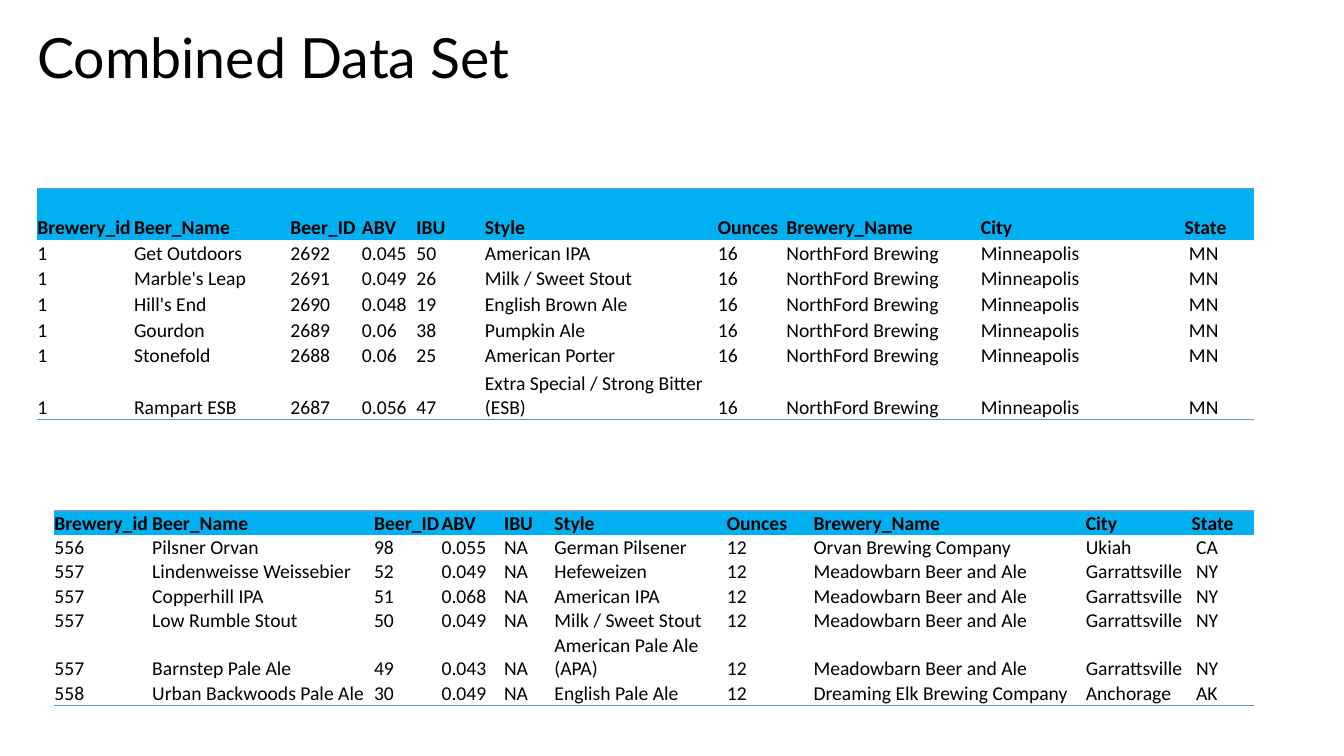
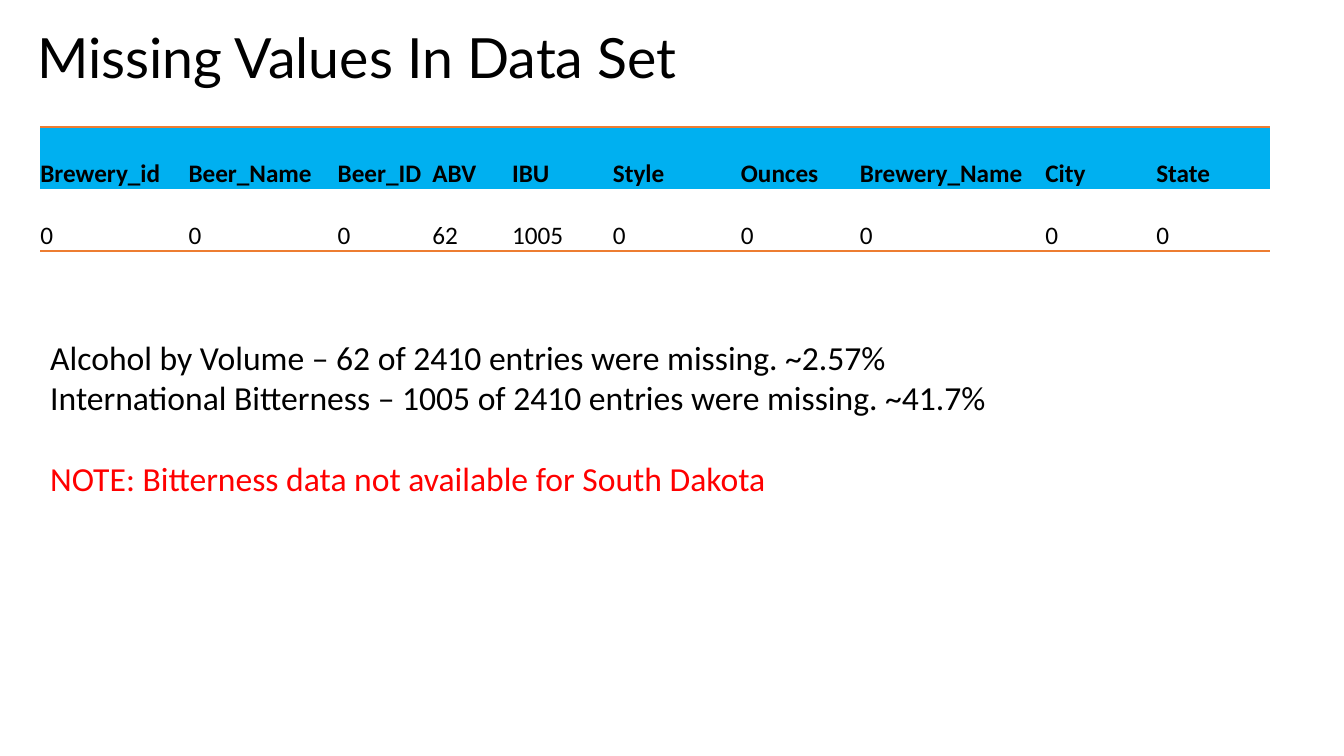
from lxml.etree import SubElement
from pptx import Presentation
from pptx.dml.color import RGBColor as RGB
from pptx.enum.text import MSO_ANCHOR as ANCHOR
from pptx.oxml.ns import qn
from pptx.util import Inches, Pt

COLORS = {"ink": "000000", "header": "00B0F0", "blue": "5B9BD5", "orange": "ED7D31", "note": "FF0000"}
PLAIN_TABLE = "{2D5ABB26-0587-4C30-8999-92F81FD0307C}"
FIELDS = ["Brewery_id", "Beer_Name", "Beer_ID", "ABV", "IBU", "Style",
          "Ounces", "Brewery_Name", "City", "State"]


def write(p, text, size=14, font="Calibri", color="ink", bold=False, before=0, spacing=None):
    """Put formatted text in a paragraph."""
    p.space_before = Pt(before)
    if spacing:
        p.line_spacing = spacing
    r = p.add_run()
    r.text = text
    r.font.size, r.font.name, r.font.bold = Pt(size), font, bold
    r.font.color.rgb = RGB.from_string(COLORS[color])


class Deck:
    """Hold the shared style and the current slide."""

    def __init__(self):
        """Start a widescreen presentation."""
        self.prs = Presentation()
        self.prs.slide_width, self.prs.slide_height = Inches(13.33), Inches(7.5)
        self.s = None

    def slide(self, title):
        """Add a slide with its title."""
        self.s = self.prs.slides.add_slide(self.prs.slide_layouts[6])
        self.text(0.27, 0.24, 11.5, 0.73, [(title, {"size": 39.6, "font": "Lato", "spacing": 0.9})],
                  ANCHOR.MIDDLE)

    def text(self, x, y, w, h, lines, anchor=ANCHOR.TOP):
        """Add a text box with one paragraph per line."""
        sp = self.s.shapes.add_textbox(Inches(x), Inches(y), Inches(w), Inches(h))
        tf = sp.text_frame
        tf.word_wrap, tf.vertical_anchor = True, anchor
        for i, (line, style) in enumerate(lines):
            write(tf.add_paragraph() if i else tf.paragraphs[0], line, **style)

    def rule(self, cell, side, color):
        """Draw a one-point border on one side of a cell."""
        ln = cell._tc.get_or_add_tcPr().makeelement(qn("a:" + side), {"w": str(Pt(1))})
        SubElement(SubElement(ln, qn("a:solidFill")), qn("a:srgbClr"), val=COLORS[color])
        cell._tc.tcPr.insert(0, ln)

    def table(self, x, y, height, widths, shares, records, size=14, line="blue"):
        """Add a table of records, its height split among the rows by share."""
        rows = [FIELDS] + records
        frame = self.s.shapes.add_table(len(rows), len(FIELDS), Inches(x), Inches(y),
                                        Inches(sum(widths)), Inches(height))
        table = frame.table
        table.horz_banding = False
        table._tbl.tblPr.find(qn("a:tableStyleId")).text = PLAIN_TABLE
        for column, width in zip(table.columns, widths):
            column.width = Inches(width)
        for i, (row, share) in enumerate(zip(rows, shares)):
            table.rows[i].height = Inches(height * share / sum(shares))
            for j, value in enumerate(row):
                cell = table.cell(i, j)
                cell.margin_left = cell.margin_right = cell.margin_top = cell.margin_bottom = 0
                cell.vertical_anchor = ANCHOR.BOTTOM
                write(cell.text_frame.paragraphs[0], value, size=size, bold=i == 0)
                if i == 0:
                    cell.fill.solid()
                    cell.fill.fore_color.rgb = RGB.from_string(COLORS["header"])
                    self.rule(cell, "lnT", line)
                else:
                    cell.fill.background()
                if i == len(rows) - 1:
                    self.rule(cell, "lnB", line)


first_beers = [
    ("Get Outdoors", "2692", "0.045", "50", "American IPA"),
    ("Marble's Leap", "2691", "0.049", "26", "Milk / Sweet Stout"),
    ("Hill's End", "2690", "0.048", "19", "English Brown Ale"),
    ("Gourdon", "2689", "0.06", "38", "Pumpkin Ale"),
    ("Stonefold", "2688", "0.06", "25", "American Porter"),
    ("Rampart ESB", "2687", "0.056", "47", "Extra Special / Strong Bitter (ESB)"),
]
MEADOW = ("Meadowbarn Beer and Ale", "Garrattsville", " NY")
last_beers = [
    ("556", "Pilsner Orvan", "98", "0.055", "German Pilsener", "Orvan Brewing Company", "Ukiah", " CA"),
    ("557", "Lindenweisse Weissebier", "52", "0.049", "Hefeweizen", *MEADOW),
    ("557", "Copperhill IPA", "51", "0.068", "American IPA", *MEADOW),
    ("557", "Low Rumble Stout", "50", "0.049", "Milk / Sweet Stout", *MEADOW),
    ("557", "Barnstep Pale Ale", "49", "0.043", "American Pale Ale (APA)", *MEADOW),
    ("558", "Urban Backwoods Pale Ale", "30", "0.049", "English Pale Ale",
     "Dreaming Elk Brewing Company", "Anchorage", " AK"),
]

deck = Deck()
deck.slide("Combined Data Set")
deck.table(0.37, 1.87, 2.29, [0.96, 1.55, 0.71, 0.54, 0.68, 2.31, 0.68, 1.93, 2.02, 0.69],
           [2] + [1] * 5 + [2],
           [["1", *beer, "16", "NorthFord Brewing", "Minneapolis", " MN"] for beer in first_beers])
deck.table(0.54, 5.07, 1.93, [0.97, 2.2, 0.67, 0.62, 0.5, 1.71, 0.86, 2.7, 1.05, 0.62],
           [1] * 5 + [2, 1],
           [[*beer[:4], "NA", beer[4], "12", *beer[5:]] for beer in last_beers])

deck.slide("Missing Values In Data Set")
missing = {"ABV": "62", "IBU": "1005"}
deck.table(0.4, 1.26, 1.23, [1.47, 1.48, 0.94, 0.79, 1, 1.27, 1.18, 1.84, 1.1, 1.13], [1, 1],
           [[missing.get(field, "0") for field in FIELDS]], size=18, line="orange")
deck.text(0.4, 3.29, 10.34, 1.72, [
    ("Alcohol by Volume – 62 of 2410 entries were missing. ~2.57%", {"size": 24}),
    ("International Bitterness – 1005 of 2410 entries were missing. ~41.7%", {"size": 24}),
    ("NOTE: Bitterness data not available for South Dakota", {"size": 24, "color": "note", "before": 29}),
])
deck.prs.save("out.pptx")
